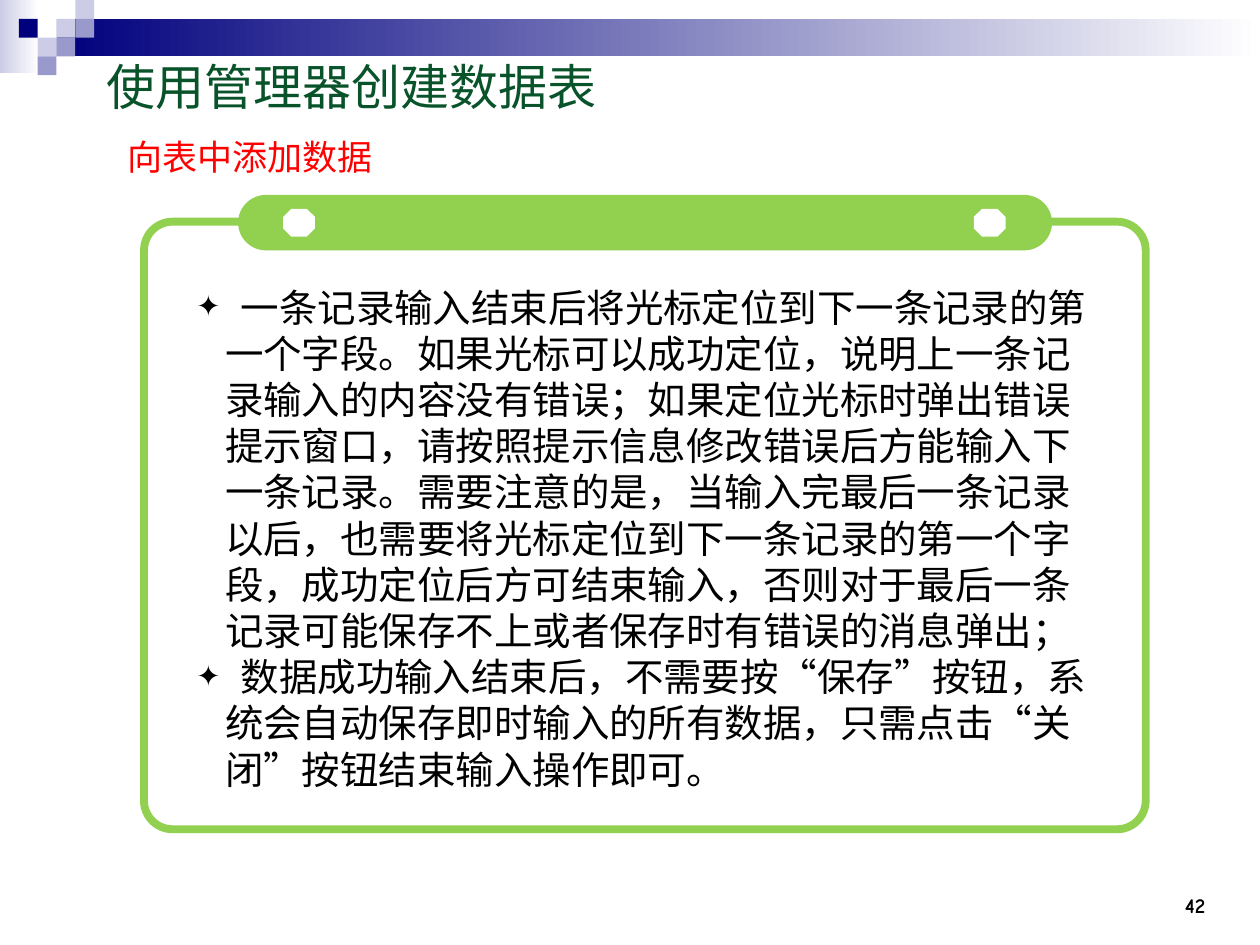
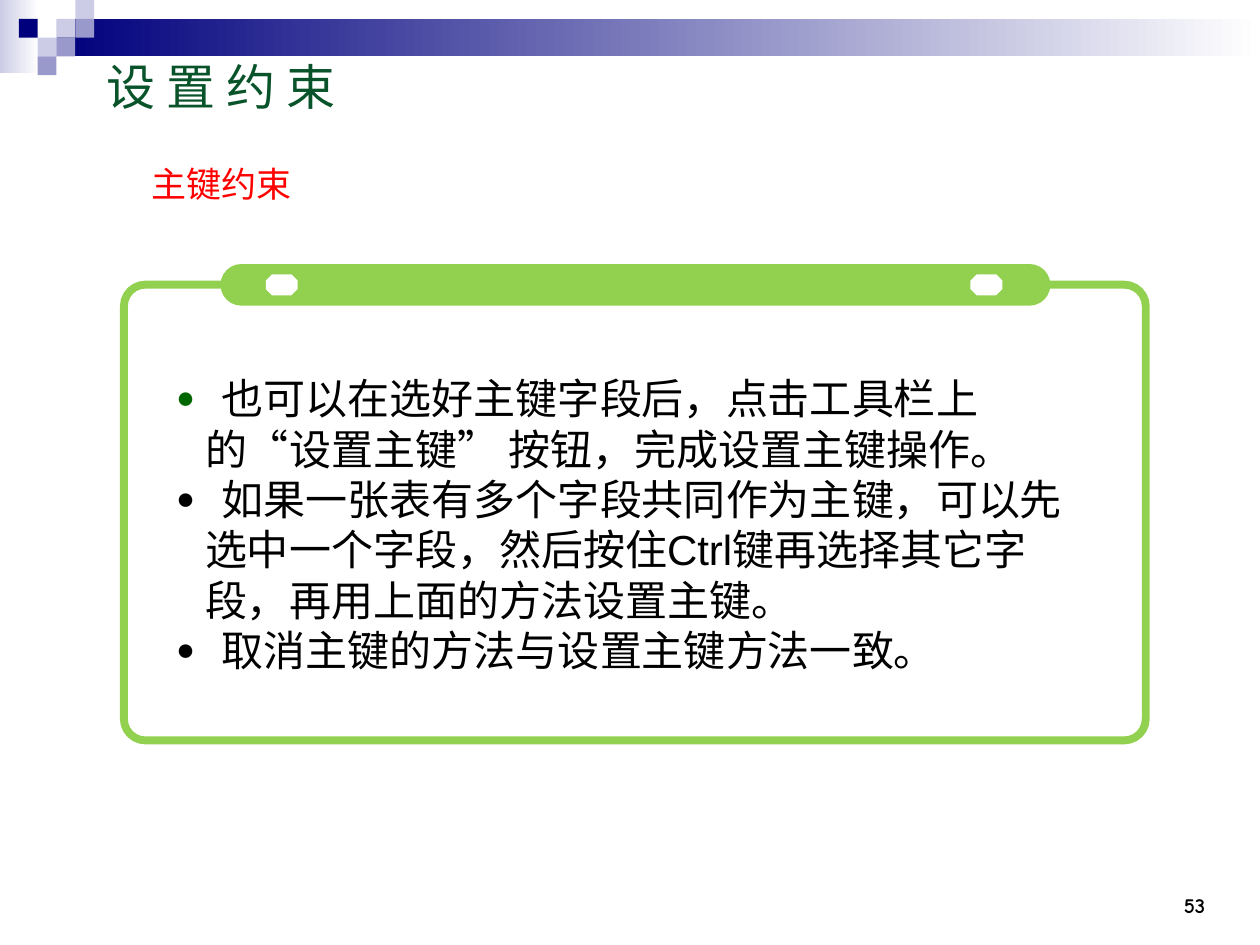
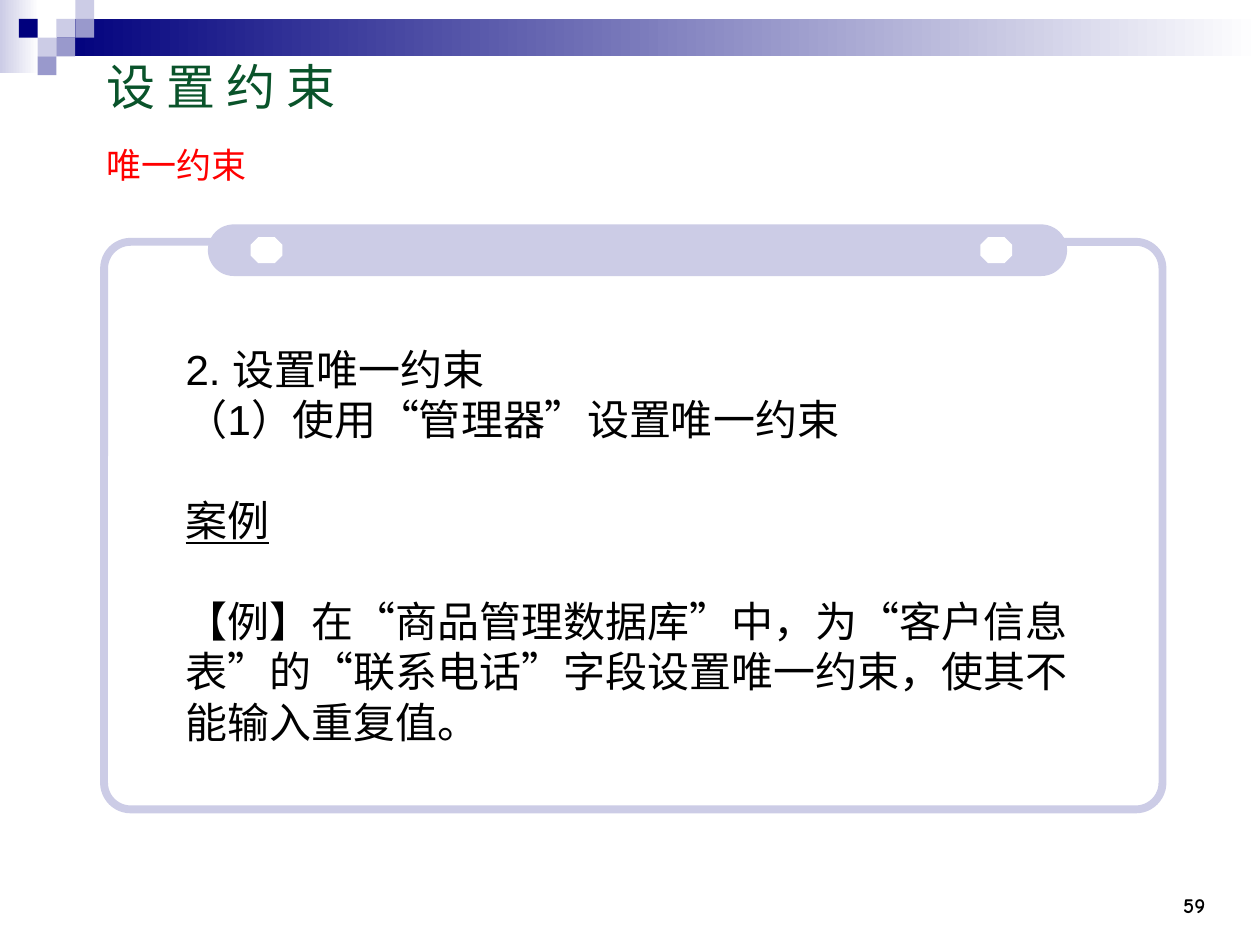
from lxml import etree
from pptx import Presentation
from pptx.dml.color import RGBColor
from pptx.enum import shapes, text
from pptx.oxml.ns import qn
from pptx.util import Pt

NAVY = RGBColor(0x00, 0x00, 0x7D)
LILAC = RGBColor(0xCC, 0xCC, 0xE6)
VIOLET = RGBColor(0x99, 0x99, 0xCC)
WHITE = RGBColor(0xFF, 0xFF, 0xFF)
BLACK = RGBColor(0x00, 0x00, 0x00)
RED = RGBColor(0xFF, 0x00, 0x00)
TITLE_GREEN = RGBColor(0x09, 0x53, 0x2A)
BULLET_GREEN = RGBColor(0x00, 0x66, 0x00)
PANEL_GREEN = RGBColor(0x92, 0xD0, 0x50)

SANS, CJK, NUMBER_FONT = "Arial", "Noto Sans CJK SC", "Comic Neue"
SHAPE = shapes.MSO_SHAPE
CELL = 10.75
HANG = 16.5
LINE = 1.2
INSET = 3.6
DROP = 0.08

BANDS = [
    ((0, 0, 22.3, 41.8), LILAC),
    ((32.4, 10.8, 687.6, 21.3), NAVY),
]
SQUARES = [
    (3, 1, LILAC), (4, 0, LILAC), (4, 1, VIOLET), (2, 2, LILAC),
    (1, 1, NAVY), (3, 2, VIOLET), (2, 3, VIOLET),
]
TITLE_BOX = (54, 15.1, 489.6, 68.4)
NUMBER_BOX = (636, 491.8, 59.8, 36)

SLIDES = [
    {
        "title": "使用管理器创建数据表",
        "number": "42",
        "subtitle": ("向表中添加数据", (65.5, 73.8, 209.5, 31.7)),
        "body_box": (105.1, 156.8, 532.8, 297.4),
        "size": 22,
        "paragraphs": [
            {"text": "一条记录输入结束后将光标定位到下一条记录的第一个字段。如果光标可以成功定位，说明上一条记录输入的内容没有错误；如果定位光标时弹出错误提示窗口，请按照提示信息修改错误后方能输入下一条记录。需要注意的是，当输入完最后一条记录以后，也需要将光标定位到下一条记录的第一个字段，成功定位后方可结束输入，否则对于最后一条记录可能保存不上或者保存时有错误的消息弹出；",
             "bullet": ("✦", BLACK)},
            {"text": "数据成功输入结束后，不需要按“保存”按钮，系统会自动保存即时输入的所有数据，只需点击“关闭”按钮结束输入操作即可。",
             "bullet": ("✦", BLACK)},
        ],
        "panel": {"color": PANEL_GREEN, "frame": (82.3, 126.7, 572.4, 347.2),
                  "bar": (136.1, 111.4, 465.1, 31.7), "eyes": (161.8, 556.5)},
    },
    {
        "title": "设 置 约 束",
        "number": "53",
        "subtitle": ("主键约束", (79.2, 89.3, 181.4, 31.7)),
        "body_box": (93.6, 207.4, 544.3, 180),
        "size": 24,
        "paragraphs": [
            {"text": "也可以在选好主键字段后，点击工具栏上的“设置主键” 按钮，完成设置主键操作。",
             "bullet": ("●", BULLET_GREEN)},
            {"text": "如果一张表有多个字段共同作为主键，可以先选中一个字段，然后按住Ctrl键再选择其它字段，再用上面的方法设置主键。",
             "bullet": ("●", BLACK)},
            {"text": "取消主键的方法与设置主键方法一致。", "bullet": ("●", BLACK)},
        ],
        "panel": {"color": PANEL_GREEN, "frame": (70.8, 162.7, 583.9, 260.4),
                  "bar": (126, 150.9, 474.2, 23.8), "eyes": (151.9, 554.6)},
    },
    {
        "title": "设 置 约 束",
        "number": "59",
        "subtitle": ("唯一约束", (53.8, 78.5, 181.4, 31.7)),
        "body_box": (99, 190.8, 527.2, 237.6),
        "size": 24,
        "paragraphs": [
            {"text": "2. 设置唯一约束"},
            {"text": "（1）使用“管理器”设置唯一约束"},
            {"text": "案例", "underline": True, "gap": True},
            {"text": "【例】在“商品管理数据库”中，为“客户信息表”的“联系电话”字段设置唯一约束，使其不能输入重复值。",
             "gap": True},
        ],
        "panel": {"color": LILAC, "frame": (59.5, 138.2, 604.8, 324.3),
                  "bar": (118.8, 128.2, 491, 29.5), "eyes": (143.2, 560.2)},
    },
]


def add_block(s, kind, box, fill=None, line=None, adjust=None):
    sp = s.shapes.add_shape(kind, *map(Pt, box))
    sp.shadow.inherit = False
    if fill is None:
        sp.fill.background()
    else:
        sp.fill.solid()
        sp.fill.fore_color.rgb = fill
    if line is None:
        sp.line.fill.background()
    else:
        sp.line.color.rgb = line
        sp.line.width = Pt(4.5)
    if adjust is not None:
        sp.adjustments[0] = adjust
    return sp


def add_box(s, box, anchor=text.MSO_ANCHOR.TOP):
    tf = s.shapes.add_textbox(*map(Pt, box)).text_frame
    tf.word_wrap = True
    tf.vertical_anchor = anchor
    return tf


def add_run(p, words, color, east=CJK, **font):
    r = p.add_run()
    r.text = words
    r.font.color.rgb = color
    for name, value in font.items():
        setattr(r.font, name, value)
    rPr = r.font._element
    rPr.set("lang", "zh-CN")
    etree.SubElement(rPr, qn("a:ea")).set("typeface", east)
    return rPr


def add_bullet(p, mark, color):
    pPr = p._p.get_or_add_pPr()
    pPr.set("marL", str(Pt(HANG)))
    pPr.set("indent", str(-Pt(HANG)))
    tint = etree.SubElement(pPr, qn("a:buClr"))
    etree.SubElement(tint, qn("a:srgbClr")).set("val", str(color))
    for tag, key, value in (("a:buSzPct", "val", "75000"),
                            ("a:buFont", "typeface", SANS),
                            ("a:buChar", "char", mark)):
        etree.SubElement(pPr, qn(tag)).set(key, value)


def add_header(s):
    for box, color in BANDS:
        band = add_block(s, SHAPE.RECTANGLE, box, WHITE)
        band.fill.gradient()
        band.fill.gradient_angle = 0
        for stop, tone in zip(band.fill.gradient_stops, (color, WHITE)):
            stop.color.rgb = tone
    for col, row, color in SQUARES:
        add_block(s, SHAPE.RECTANGLE, (col * CELL, row * CELL, CELL, CELL), color)


def add_number(s, number):
    p = add_box(s, NUMBER_BOX, text.MSO_ANCHOR.BOTTOM).paragraphs[0]
    p.alignment = text.PP_ALIGN.RIGHT
    add_run(p, number, BLACK, name=NUMBER_FONT, size=Pt(12), bold=True)


def add_titles(s, title, subtitle):
    p = add_box(s, TITLE_BOX, text.MSO_ANCHOR.MIDDLE).paragraphs[0]
    add_run(p, title, TITLE_GREEN, name=CJK, size=Pt(28))
    words, box = subtitle
    p = add_box(s, box).paragraphs[0]
    p.line_spacing = Pt(20 * LINE)
    add_run(p, words, RED, east=SANS, name=SANS, size=Pt(20))


def add_body(s, box, size, paragraphs):
    tf = add_box(s, box)
    tf.margin_top = Pt(INSET + DROP * size)
    font = {"name": SANS, "size": Pt(size)}
    for i, item in enumerate(paragraphs):
        p = tf.add_paragraph() if i else tf.paragraphs[0]
        p.line_spacing = Pt(size * LINE)
        p._p.get_or_add_pPr().set("hangingPunct", "0")
        if item.get("gap"):
            p.space_before = Pt(size * LINE)
        if "bullet" in item:
            mark, color = item["bullet"]
            add_bullet(p, mark, color)
            add_run(p, " ", color, **font).set("spc", str(size * 18))
        add_run(p, item["text"], BLACK, underline=item.get("underline"), **font)


def add_panel(s, color, frame, bar, eyes):
    add_block(s, SHAPE.ROUNDED_RECTANGLE, frame, line=color, adjust=0.047)
    add_block(s, SHAPE.ROUNDED_RECTANGLE, bar, color, adjust=0.5)
    top, height = bar[1], bar[3]
    for left in eyes:
        add_block(s, SHAPE.OCTAGON, (left, top + height / 4, 18.2, height / 2),
                  WHITE, adjust=0.293)


def main():
    prs = Presentation()
    prs.slide_width, prs.slide_height = Pt(720), Pt(540)
    for page in SLIDES:
        s = prs.slides.add_slide(prs.slide_layouts[6])
        add_header(s)
        add_number(s, page["number"])
        add_titles(s, page["title"], page["subtitle"])
        add_body(s, page["body_box"], page["size"], page["paragraphs"])
        add_panel(s, **page["panel"])
    prs.save("out.pptx")


if __name__ == "__main__":
    main()
